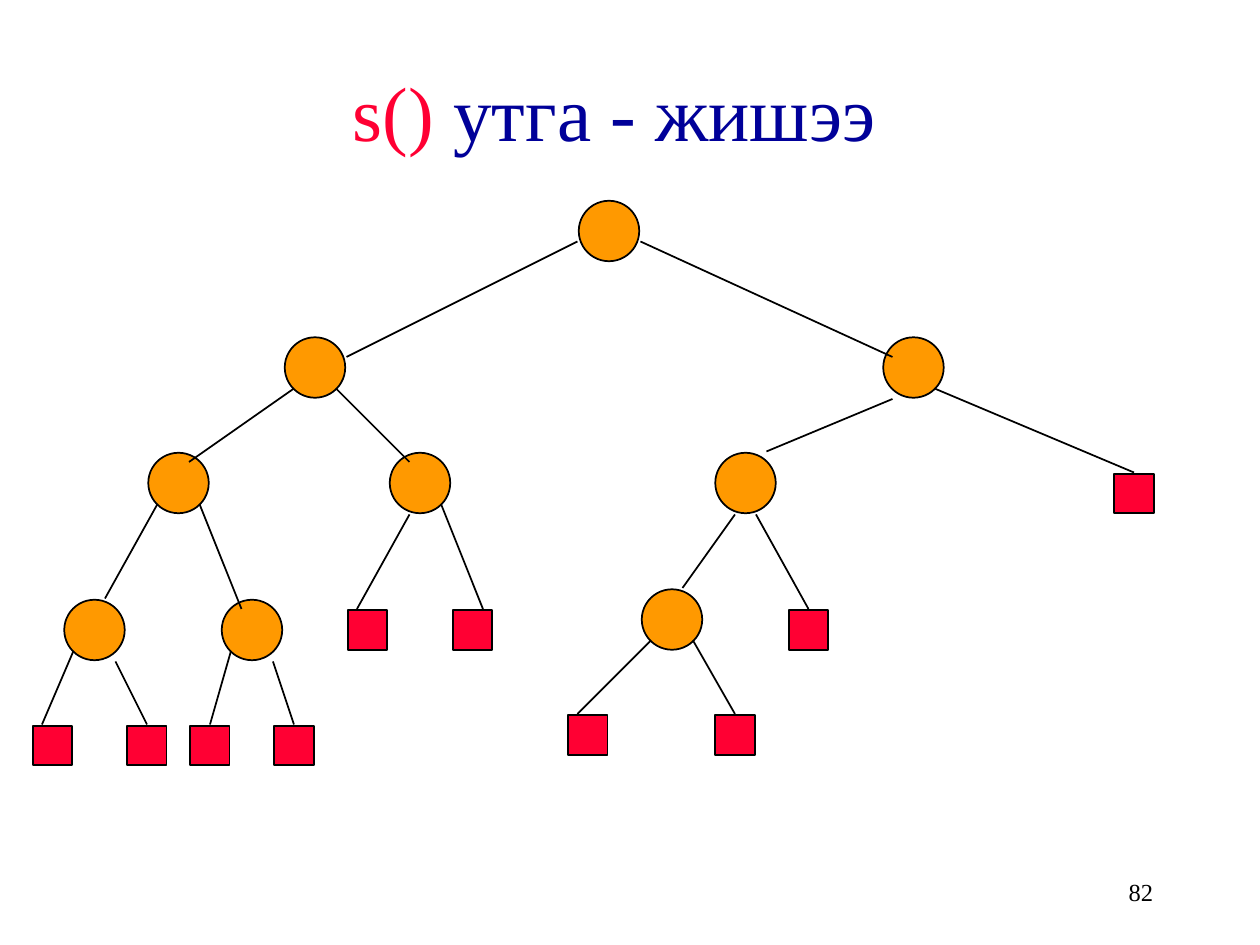
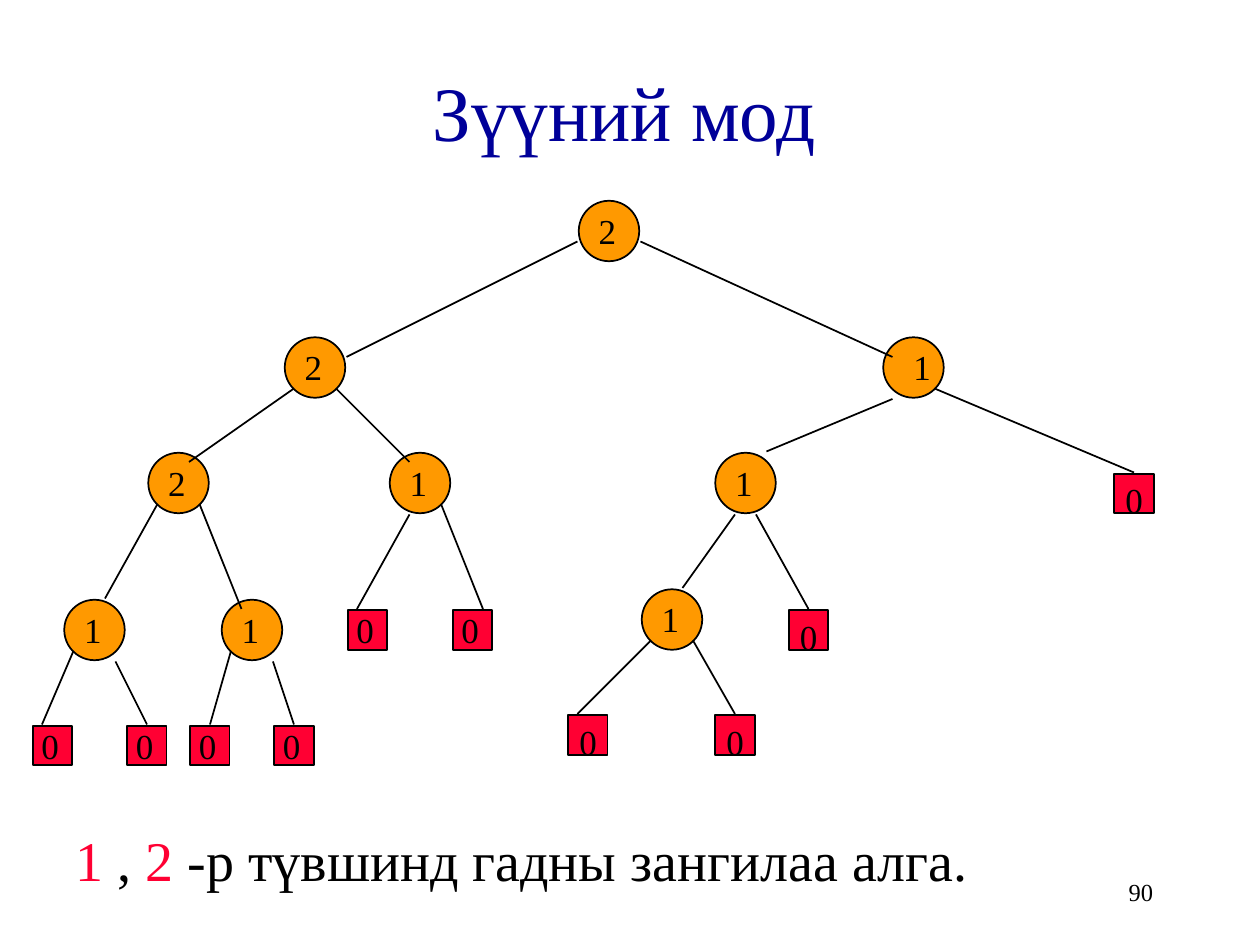
from pptx import Presentation
from pptx.dml.color import RGBColor
from pptx.enum.shapes import MSO_CONNECTOR, MSO_SHAPE
from pptx.enum.text import MSO_ANCHOR, MSO_AUTO_SIZE, PP_ALIGN
from pptx.oxml.ns import qn
from pptx.util import Inches, Pt
from lxml.etree import SubElement

RED = RGBColor(0xFF, 0x00, 0x33)
NAVY = RGBColor(0x00, 0x00, 0x99)
ORANGE = RGBColor(0xFF, 0x99, 0x00)
BLACK = RGBColor(0, 0, 0)
FONT = "Times New Roman"
GRID = 12
INSET = 0.01

SLIDES = [
    dict(title=[("s() ", RED), ("утга - жишээ", NAVY)], left=0, page="82", marks=False, note=[]),
    dict(title=[("Зүүний мод", NAVY)], left=0.08, page="90", marks=True,
         note=[("1 ", RED), (", ", BLACK), ("2 ", RED),
               ("-р түвшинд гадны зангилаа алга.", BLACK)]),
]

KINDS = {
    "inner": dict(shape=MSO_SHAPE.OVAL, fill=ORANGE, cells=6, shift=(0.07, 0.03), width=0.34, wrap=False),
    "leaf": dict(shape=MSO_SHAPE.RECTANGLE, fill=RED, cells=4, shift=(-0.02, -0.05), width=0.34, wrap=False),
    "low": dict(shape=MSO_SHAPE.RECTANGLE, fill=RED, cells=4, shift=(0, 0), width=0.25, wrap=True),
}

NODES = {
    "inner": [(55, 19, "2"), (27, 32, "2"), (84, 32, "1"), (14, 43, "2"), (37, 43, "1"),
              (68, 43, "1"), (6, 57, "1"), (21, 57, "1"), (61, 56, "1")],
    "leaf": [(33, 58, "0"), (43, 58, "0"), (3, 69, "0"), (12, 69, "0"), (18, 69, "0"), (26, 69, "0")],
    "low": [(75, 58, "0"), (106, 45, "0"), (54, 68, "0"), (68, 68, "0")],
}
NUDGE = {(84, 32): 0.08}

EDGES = [
    (55, 23, 33, 34), (61, 23, 85, 34),
    (28, 37, 18, 44), (32, 37, 39, 44), (85, 38, 73, 43), (89, 37, 108, 45),
    (15, 48, 10, 57), (19, 48, 23, 58), (39, 49, 34, 58), (42, 48, 46, 58),
    (70, 49, 65, 56), (72, 49, 77, 58),
    (7, 62, 4, 69), (11, 63, 14, 69), (22, 62, 20, 69), (26, 63, 28, 69),
    (62, 61, 55, 68), (66, 61, 70, 68),
]


def write(box, runs, size=20, align=PP_ALIGN.LEFT, anchor=MSO_ANCHOR.TOP, wrap=True, grow=False):
    frame = box.text_frame
    frame.word_wrap = wrap
    frame.vertical_anchor = anchor
    frame.auto_size = MSO_AUTO_SIZE.SHAPE_TO_FIT_TEXT if grow else MSO_AUTO_SIZE.NONE
    line = frame.paragraphs[0]
    line.alignment = align
    for words, color in runs:
        run = line.add_run()
        run.text = words
        run.font.name = FONT
        run.font.size = Pt(size)
        run.font.color.rgb = color


def add_box(slide, left, top, width, height, runs, **style):
    box = slide.shapes.add_textbox(*map(Inches, (left, top, width, height)))
    write(box, runs, **style)


def add_node(shapes, kind, col, row):
    side = Inches(kind["cells"] / GRID - 2 * INSET)
    left, top = (Inches(cell / GRID + INSET) for cell in (col, row))
    node = shapes.add_shape(kind["shape"], left, top, side, side)
    node.shadow.inherit = False
    node.fill.solid()
    node.fill.fore_color.rgb = kind["fill"]
    node.line.color.rgb = BLACK
    node.line.width = Pt(1)


def add_edge(shapes, ends):
    edge = shapes.add_connector(MSO_CONNECTOR.STRAIGHT, *(Inches(cell / GRID) for cell in ends))
    edge.line.color.rgb = BLACK
    edge.line.width = Pt(1)
    SubElement(edge.element.spPr, qn("a:effectLst"))


def add_mark(slide, kind, col, row, mark):
    right, down = kind["shift"]
    left = col / GRID + right + NUDGE.get((col, row), 0)
    add_box(slide, left, row / GRID + down, kind["width"], 0.43,
            [(mark, BLACK)], wrap=kind["wrap"], grow=True)


def add_tree(slide, marks):
    shapes = slide.shapes if marks else slide.shapes.add_group_shape().shapes
    nodes = [(KINDS[name], *node) for name, group in NODES.items() for node in group]
    for kind, col, row, mark in nodes:
        add_node(shapes, kind, col, row)
    for ends in EDGES:
        add_edge(shapes, ends)
    if marks:
        for node in nodes:
            add_mark(slide, *node)


def add_page(deck, data):
    slide = deck.slides.add_slide(deck.slide_layouts[5])
    title = slide.shapes.title
    title.left, title.top, title.width, title.height = map(Inches, (data["left"], 0.25, 9.75, 1.25))
    write(title, data["title"], size=44, align=PP_ALIGN.CENTER, anchor=MSO_ANCHOR.MIDDLE)
    add_tree(slide, data["marks"])
    if data["note"]:
        add_box(slide, 0.5, 6.5, 9.25, 0.63, data["note"], size=32, grow=True)
    add_box(slide, 7.17, 6.83, 2.08, 0.5, [(data["page"], BLACK)], size=14,
            align=PP_ALIGN.RIGHT, anchor=MSO_ANCHOR.MIDDLE, wrap=False)


def main():
    deck = Presentation()
    deck.slide_width, deck.slide_height = Inches(10), Inches(7.5)
    for data in SLIDES:
        add_page(deck, data)
    deck.save("out.pptx")


if __name__ == "__main__":
    main()
